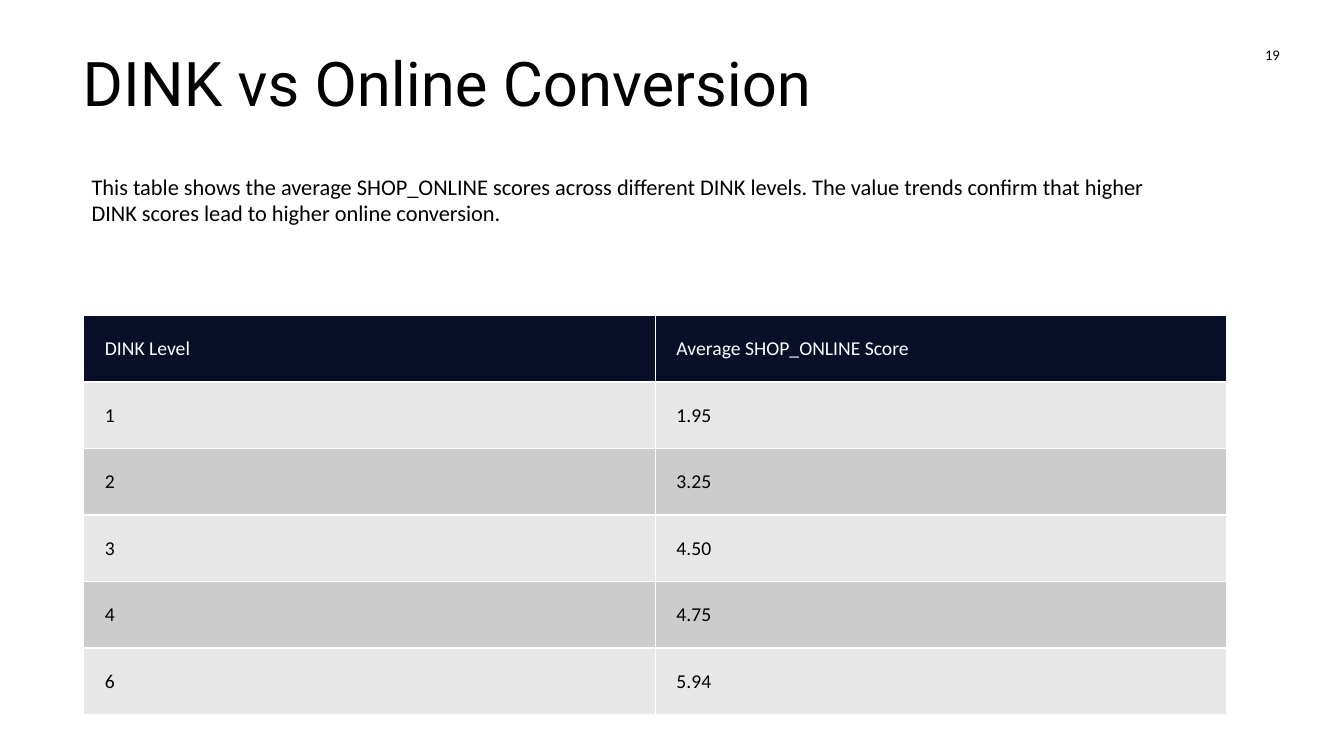
"""Build the slide that tabulates online conversion by DINK level."""
import pptx
import pptx.dml.color
import pptx.enum.text
import pptx.oxml
import pptx.oxml.ns
import pptx.util
from pptx.util import Inches

BLACK = pptx.dml.color.RGBColor(0x00, 0x00, 0x00)
WHITE = pptx.dml.color.RGBColor(0xFF, 0xFF, 0xFF)
NAVY = pptx.dml.color.RGBColor(0x0A, 0x0F, 0x29)
LIGHT_GREY = pptx.dml.color.RGBColor(0xE7, 0xE7, 0xE8)
MID_GREY = pptx.dml.color.RGBColor(0xCC, 0xCC, 0xCD)

TOP = pptx.enum.text.MSO_ANCHOR.TOP
MIDDLE = pptx.enum.text.MSO_ANCHOR.MIDDLE
LEFT = pptx.enum.text.PP_ALIGN.LEFT
CENTER = pptx.enum.text.PP_ALIGN.CENTER

SUMMARY = (
    "This table shows the average SHOP_ONLINE scores across different DINK levels. "
    "The value trends confirm that higher DINK scores lead to higher online conversion."
)
SCORES = [
    ("DINK Level", "Average SHOP_ONLINE Score"),
    ("1", "1.95"),
    ("2", "3.25"),
    ("3", "4.50"),
    ("4", "4.75"),
    ("6", "5.94"),
]
COLUMN_WIDTH = Inches(5.67)
ROW_HEIGHT = Inches(0.66)
CELL_MARGIN = Inches(0.21)


def write(frame, text, size, color=BLACK, font="Calibri", align=LEFT):
    para = frame.paragraphs[0]
    para.alignment = align
    span = para.add_run()
    span.text = text
    span.font.name = font
    span.font.size = pptx.util.Pt(size)
    span.font.color.rgb = color


def set_frame(box, anchor):
    frame = box.text_frame
    frame.word_wrap = True
    frame.auto_size = pptx.enum.text.MSO_AUTO_SIZE.NONE
    frame.vertical_anchor = anchor
    return frame


def add_title(page, text):
    title = page.shapes.title
    title.left, title.top = Inches(0.72), Inches(0.4)
    title.width, title.height = Inches(11.42), Inches(1.17)
    write(set_frame(title, TOP), text, 44, font="Roboto")


def add_text(page, text, left, top, width, height, size, align=LEFT):
    box = page.shapes.add_textbox(Inches(left), Inches(top), Inches(width), Inches(height))
    write(set_frame(box, MIDDLE), text, size, align=align)


def add_borders(cell):
    properties = cell._tc.get_or_add_tcPr()
    for side in ("lnL", "lnR", "lnT", "lnB"):
        properties.append(pptx.oxml.parse_xml(
            f'<a:{side} {pptx.oxml.ns.nsdecls("a")} w="{pptx.util.Pt(1)}">'
            f'<a:solidFill><a:srgbClr val="{WHITE}"/></a:solidFill></a:{side}>'
        ))


def fill_cell(cell, text, fill, color):
    add_borders(cell)
    cell.fill.solid()
    cell.fill.fore_color.rgb = fill
    cell.vertical_anchor = MIDDLE
    cell.margin_left = cell.margin_right = CELL_MARGIN
    cell.margin_top = cell.margin_bottom = CELL_MARGIN
    write(cell.text_frame, text, 14, color)


def add_score_table(page, rows):
    columns = len(rows[0])
    table = page.shapes.add_table(
        len(rows), columns, Inches(0.83), Inches(3.13),
        COLUMN_WIDTH * columns, ROW_HEIGHT * len(rows),
    ).table
    for column in table.columns:
        column.width = COLUMN_WIDTH
    for index, values in enumerate(rows):
        table.rows[index].height = ROW_HEIGHT
        fill = LIGHT_GREY if index % 2 else MID_GREY
        color = BLACK
        if index == 0:
            fill, color = NAVY, WHITE
        for position, text in enumerate(values):
            fill_cell(table.cell(index, position), text, fill, color)


def main():
    deck = pptx.Presentation()
    deck.slide_width, deck.slide_height = Inches(13.33), Inches(7.5)
    page = deck.slides.add_slide(deck.slide_layouts.get_by_name("Title Only"))
    add_title(page, "DINK vs Online Conversion")
    add_text(page, SUMMARY, 0.81, 1.62, 10.76, 0.72, 16)
    add_score_table(page, SCORES)
    add_text(page, "19", 12.42, 0.35, 0.4, 0.39, 10.5, CENTER)
    deck.save("out.pptx")


if __name__ == "__main__":
    main()
